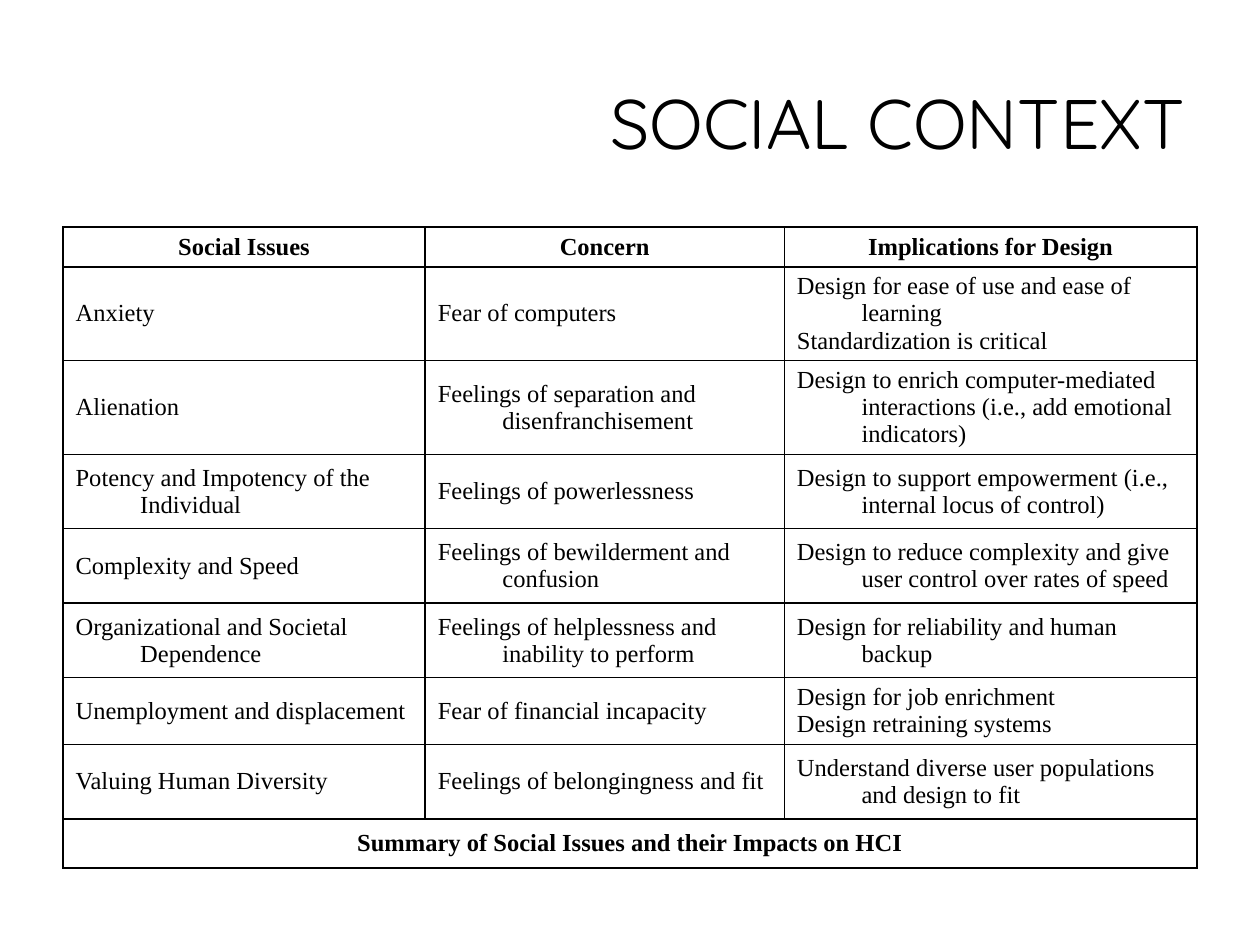
import pptx
import pptx.dml.color
import pptx.enum.text
import pptx.oxml.ns
import pptx.util
from lxml import etree

Pt = pptx.util.Pt
ALIGN = pptx.enum.text.PP_ALIGN
ANCHOR = pptx.enum.text.MSO_ANCHOR
COLORS = {"ink": "000000", "page": "FFFFFF"}
COLS = [207, 205.2, 235.8]
TALL = 53.6
MID = 42.5
ROWS = [22.9, TALL, TALL, MID, MID, MID, 38.3, MID, 28]
PAD = 1.5
HANG = 36.9
TABS = [36, 72, 360]

HEAD = ["Social Issues", "Concern", "Implications for Design"]
# Each line of a cell is a paragraph of its own.
BODY = [
    ["Anxiety", "Fear of computers",
     "Design for ease of use and ease of learning\nStandardization is critical"],
    ["Alienation", "Feelings of separation and disenfranchisement",
     "Design to enrich computer-mediated interactions (i.e., add emotional indicators)"],
    ["Potency and Impotency of the Individual", "Feelings of powerlessness",
     "Design to support empowerment (i.e., internal locus of control)"],
    ["Complexity and Speed", "Feelings of bewilderment and confusion",
     "Design to reduce complexity and give user control over rates of speed"],
    ["Organizational and Societal Dependence",
     "Feelings of helplessness and inability to perform",
     "Design for reliability and human backup"],
    ["Unemployment and displacement", "Fear of financial incapacity",
     "Design for job enrichment\nDesign retraining systems"],
    ["Valuing Human Diversity", "Feelings of belongingness and fit",
     "Understand diverse user populations and design to fit"],
]
FOOT = "Summary of Social Issues and their Impacts on HCI"


def color(name):
    return pptx.dml.color.RGBColor.from_string(COLORS[name])


def add_sub(node, tag, **attrs):
    return etree.SubElement(node, pptx.oxml.ns.qn(tag), **attrs)


def add_run(para, text, font, size, bold=False):
    run = para.add_run()
    run.text = text
    run.font.name = font
    run.font.size = Pt(size)
    run.font.bold = bold
    run.font.color.rgb = color("ink")


def add_title(slide, text):
    box = slide.shapes.add_textbox(Pt(36), Pt(27.5), Pt(648), Pt(90))
    frame = box.text_frame
    frame.word_wrap = True
    frame.vertical_anchor = ANCHOR.MIDDLE
    para = frame.paragraphs[0]
    para.alignment = ALIGN.RIGHT
    para.line_spacing = 0.9
    add_run(para, text, "Quicksand", 40)


def hang(para):
    """Give the paragraph a hanging indent and its tab stops."""
    props = para._p.get_or_add_pPr()
    props.set("marL", str(Pt(HANG)))
    props.set("indent", str(-Pt(HANG)))
    tabs = add_sub(props, "a:tabLst")
    for pos in TABS:
        add_sub(tabs, "a:tab", pos=str(Pt(pos)), algn="l")


def set_edges(cell, width):
    """Clear the fill and draw all four borders."""
    props = cell._tc.get_or_add_tcPr()
    for side in ("L", "R", "T", "B"):
        line = add_sub(props, "a:ln" + side, w=str(Pt(width)))
        fill = add_sub(line, "a:solidFill")
        add_sub(fill, "a:srgbClr", val=COLORS["ink"])
    cell.fill.background()


def fill_cell(cell, text, bold=False, anchor=ANCHOR.MIDDLE):
    cell.vertical_anchor = anchor
    cell.margin_top = Pt(3.9 if anchor == ANCHOR.TOP else PAD)
    cell.margin_bottom = Pt(PAD)
    frame = cell.text_frame
    for num, line in enumerate(text.split("\n")):
        para = frame.add_paragraph() if num else frame.paragraphs[0]
        para.alignment = ALIGN.CENTER if bold else ALIGN.LEFT
        hang(para)
        add_run(para, line, "Times New Roman", 14, bold)


def add_grid(slide):
    frame = slide.shapes.add_table(len(ROWS), len(COLS), Pt(36), Pt(129.6),
                                   Pt(sum(COLS)), Pt(sum(ROWS)))
    table = frame.table
    table.first_row = table.horz_banding = False
    for col, width in zip(table.columns, COLS):
        col.width = Pt(width)
    for row, height in zip(table.rows, ROWS):
        row.height = Pt(height)
    for cell in table.iter_cells():
        set_edges(cell, 1)
    for cell, text in zip(table.rows[0].cells, HEAD):
        fill_cell(cell, text, True, ANCHOR.TOP)
    for num, texts in enumerate(BODY, 1):
        for cell, text in zip(table.rows[num].cells, texts):
            fill_cell(cell, text)
    last = len(ROWS) - 1
    foot = table.cell(last, 0)
    foot.merge(table.cell(last, len(COLS) - 1))
    fill_cell(foot, FOOT, True)


def main():
    deck = pptx.Presentation()
    deck.slide_width, deck.slide_height = Pt(720), Pt(540)
    slide = deck.slides.add_slide(deck.slide_layouts[6])
    back = slide.background.fill
    back.solid()
    back.fore_color.rgb = color("page")
    add_title(slide, "SOCIAL CONTEXT")
    add_grid(slide)
    deck.save("out.pptx")


if __name__ == "__main__":
    main()
